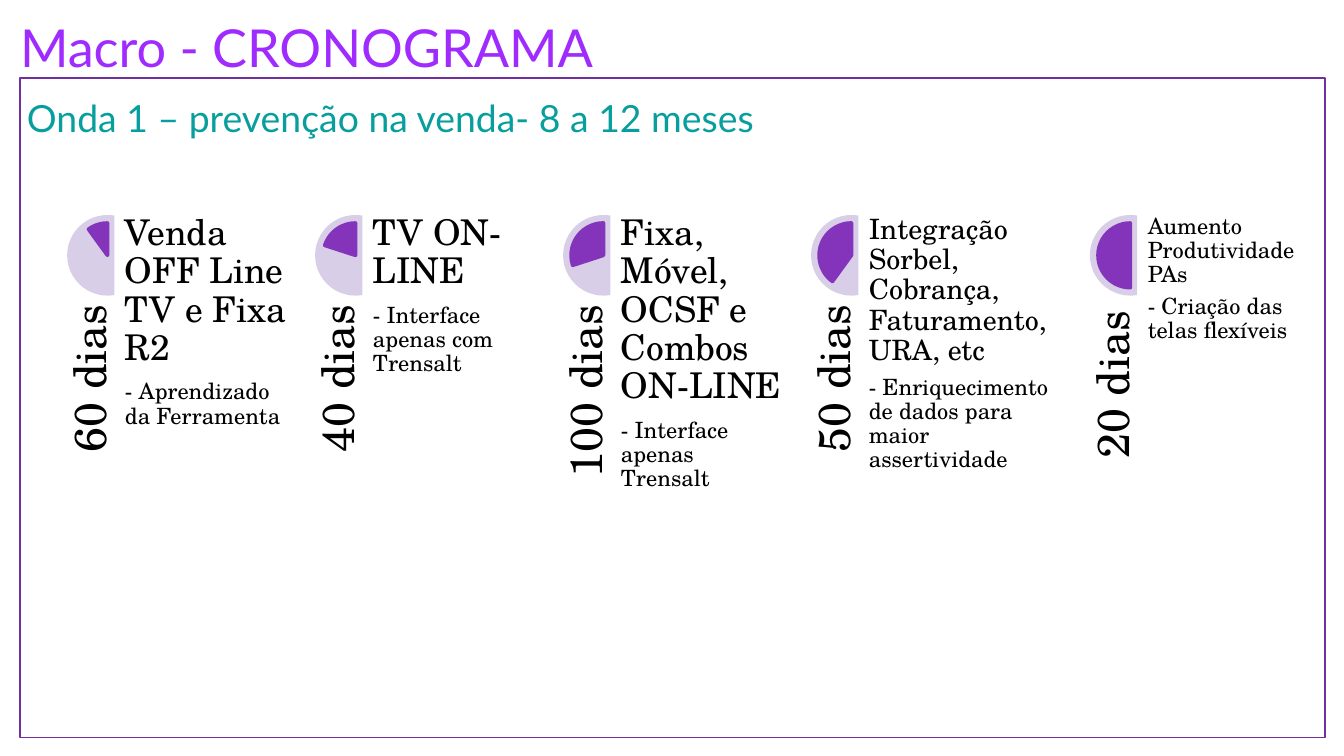
from dataclasses import dataclass

from pptx import Presentation
from pptx.dml.color import RGBColor
from pptx.enum.shapes import MSO_SHAPE as SHAPE
from pptx.enum.text import MSO_ANCHOR as ANCHOR, PP_ALIGN as ALIGN
from pptx.util import Inches, Pt


@dataclass(frozen=True)
class Theme:
    title: str = "A02BFF"
    subtitle: str = "089E9E"
    frame: str = "7030A0"
    dial: str = "D9CEE7"
    wedge: str = "8434BB"
    text: str = "000000"
    head_font: str = "Lato"
    body_font: str = "TeX Gyre Schola"
    title_size: int = 28
    subtitle_size: int = 20
    days_size: int = 24
    note_size: int = 12


class Timeline:
    def __init__(self, slide, theme):
        self.slide = slide
        self.theme = theme

    def shape(self, parent, kind, box, fill=None, line=None, width=0, adjust=()):
        s = parent.add_shape(kind, *map(Inches, box))
        s.shadow.inherit = False
        for i, value in enumerate(adjust):
            s.adjustments[i] = value
        if fill:
            s.fill.solid()
            s.fill.fore_color.rgb = RGBColor.from_string(fill)
        else:
            s.fill.background()
        if line:
            s.line.color.rgb = RGBColor.from_string(line)
            s.line.width = Pt(width)
        else:
            s.line.fill.background()
        return s

    def text(self, parent, box, paragraphs, font, color, anchor=ANCHOR.TOP,
             align=ALIGN.LEFT, spacing=0.9, after=0.35):
        """Each paragraph is a list of (text, size) runs; after is a share of the size."""
        s = parent.add_textbox(*map(Inches, box))
        tf = s.text_frame
        tf.word_wrap = True
        tf.vertical_anchor = anchor
        tf.margin_left = tf.margin_right = tf.margin_top = tf.margin_bottom = 0
        for i, runs in enumerate(paragraphs):
            p = tf.add_paragraph() if i else tf.paragraphs[0]
            p.alignment = align
            p.line_spacing = spacing
            p.space_after = Pt(round(after * runs[0][1], 1))
            for content, size in runs:
                r = p.add_run()
                r.text = content
                r.font.name = font
                r.font.size = Pt(size)
                r.font.color.rgb = RGBColor.from_string(color)
        return s

    def heading(self, box, content, size, color):
        return self.text(self.slide.shapes, box, [[(content, size)]],
                         self.theme.head_font, color, ANCHOR.MIDDLE,
                         spacing=Pt(42), after=0)

    def step(self, group, x, share, days, head, head_size, note, width):
        t = self.theme
        # Dial with a wedge that grows by a tenth of a turn per step
        self.shape(group, SHAPE.CHORD, (x, TOP, 0.6, 0.6), t.dial, adjust=(48, 168))
        self.shape(group, SHAPE.PIE, (x + 0.06, TOP + 0.06, 0.48, 0.48), t.wedge,
                   t.wedge, 2, (162 - 21.6 * share, 162))
        # Rotated duration
        label = self.text(group, (x - 0.69, TOP + 1.36, 1.75, 0.36), [days],
                          t.body_font, t.text, ANCHOR.BOTTOM, ALIGN.RIGHT)
        label.rotation = 270
        # Description
        self.text(group, (x + 0.43, TOP, width, 2.42),
                  [[(head, head_size)], [(note, t.note_size)]], t.body_font, t.text)


TOP = 1.6
GAP = 0.635
STEPS = [
    ("60 dias", "Venda OFF Line TV e Fixa R2", 19, "- Aprendizado da Ferramenta", 1.21),
    ("40 dias", "TV ON-LINE", 19, "- Interface apenas com Trensalt", 1.21),
    ("100 dias", "Fixa, Móvel, OCSF e Combos ON-LINE", 19, "- Interface apenas Trensalt", 1.21),
    ("50 dias", "Integração Sorbel, Cobrança, Faturamento, URA, etc", 15,
     "- Enriquecimento de dados para maior assertividade", 1.44),
    ("20 dias", "Aumento Produtividade PAs", 12, "- Criação das telas flexíveis", 1.21),
]


def main():
    # 16:9 slide
    prs = Presentation()
    prs.slide_width = Inches(10)
    prs.slide_height = Inches(10 * 9 / 16)
    theme = Theme()
    timeline = Timeline(prs.slides.add_slide(prs.slide_layouts[6]), theme)

    # Steps, left to right
    group = timeline.slide.shapes.add_group_shape().shapes
    x = 0.5
    for i, (days, head, head_size, note, width) in enumerate(STEPS, 1):
        runs = [(days, theme.days_size)]
        if i == len(STEPS):
            runs.append((" ", theme.note_size))
        timeline.step(group, x, i, runs, head, head_size, note, width)
        x += width + GAP

    # Title, frame and subtitle
    timeline.heading((0.15, 0, 10, 0.58), "Macro - CRONOGRAMA",
                     theme.title_size, theme.title)
    timeline.shape(timeline.slide.shapes, SHAPE.RECTANGLE, (0.15, 0.58, 9.71, 4.91),
                   line=theme.frame, width=0.75)
    timeline.heading((0.2, 0.46, 8.83, 0.58), "Onda 1 – prevenção na venda- 8 a 12 meses",
                     theme.subtitle_size, theme.subtitle)

    prs.save("out.pptx")


if __name__ == "__main__":
    main()
